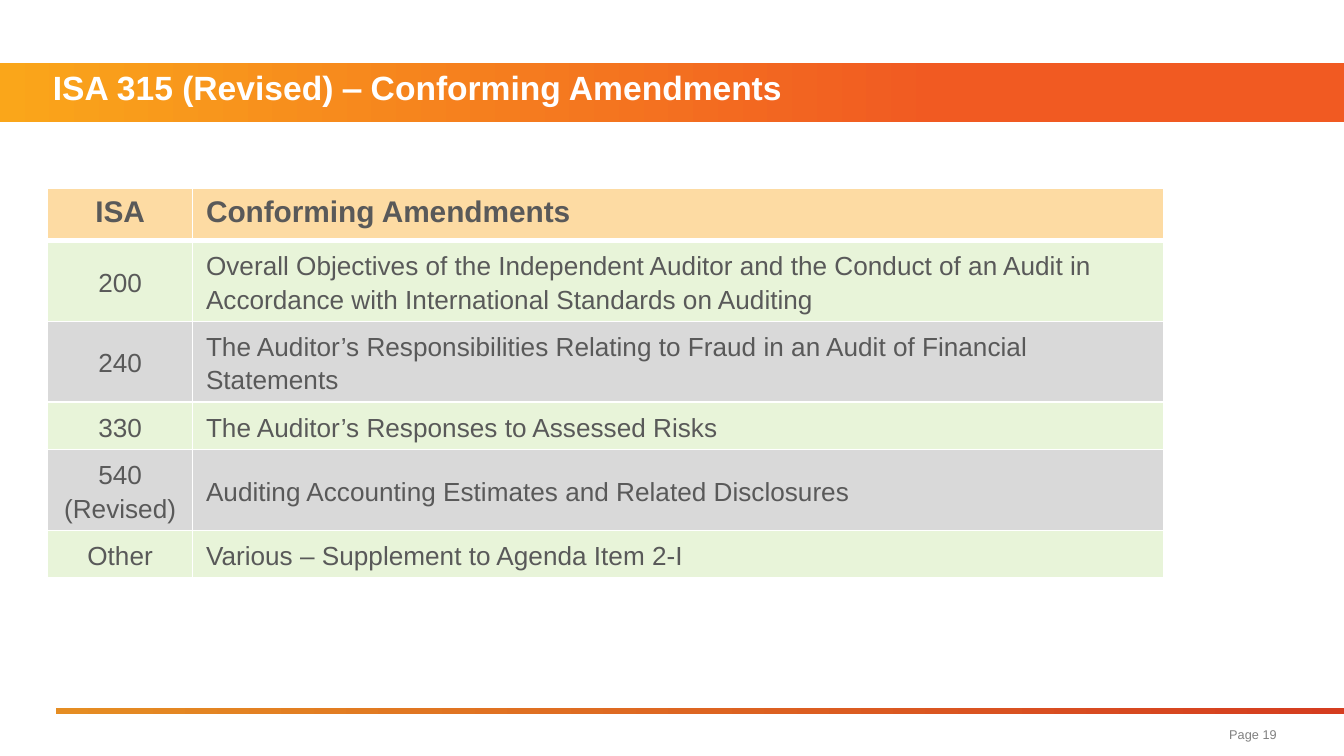
from lxml import etree
from pptx import Presentation
from pptx.dml.color import RGBColor
from pptx.enum.shapes import MSO_SHAPE
from pptx.enum.text import MSO_ANCHOR, PP_ALIGN
from pptx.oxml.ns import qn
from pptx.util import Cm, Pt

RECTANGLE = MSO_SHAPE.RECTANGLE
TOP, MIDDLE = MSO_ANCHOR.TOP, MSO_ANCHOR.MIDDLE
LEFT, CENTER, RIGHT = PP_ALIGN.LEFT, PP_ALIGN.CENTER, PP_ALIGN.RIGHT

WHITE = RGBColor(0xFF, 0xFF, 0xFF)
AMBER = RGBColor(0xFA, 0xA6, 0x1A)
ORANGE = RGBColor(0xF1, 0x5A, 0x22)
OCHRE = RGBColor(0xE5, 0x8D, 0x23)
RED = RGBColor(0xD5, 0x3D, 0x20)
PEACH = RGBColor(0xFD, 0xDB, 0xA3)
PALE_GREEN = RGBColor(0xE8, 0xF4, 0xD9)
LIGHT_GRAY = RGBColor(0xD9, 0xD9, 0xD9)
MID_GRAY = RGBColor(0x80, 0x80, 0x80)
DARK_GRAY = RGBColor(0x59, 0x59, 0x59)

FONT = "Arial"
AMENDMENTS = [
    ("ISA", "Conforming Amendments"),
    ("200", "Overall Objectives of the Independent Auditor and the Conduct of "
            "an Audit in Accordance with International Standards on Auditing"),
    ("240", "The Auditor’s Responsibilities Relating to Fraud in an Audit of "
            "Financial Statements"),
    ("330", "The Auditor’s Responses to Assessed Risks"),
    ("540 (Revised)", "Auditing Accounting Estimates and Related Disclosures"),
    ("Other", "Various – Supplement to Agenda Item 2-I"),
]
HEADER_HEIGHT, SINGLE_HEIGHT, DOUBLE_HEIGHT = 0.99, 0.9, 1.52
ROW_HEIGHTS = [HEADER_HEIGHT, DOUBLE_HEIGHT, DOUBLE_HEIGHT,
               SINGLE_HEIGHT, DOUBLE_HEIGHT, SINGLE_HEIGHT]
NUMBER_WIDTH = 2.74


def style_text(para, size, color, bold=False, align=LEFT):
    """Align a paragraph and format its runs."""
    para.alignment = align
    for span in para.runs:
        span.font.name = FONT
        span.font.size = Pt(size)
        span.font.bold = bold
        span.font.color.rgb = color


def add_gradient_bar(page, box, start, end, end_position=1):
    """Draw a bar that fades from left to right."""
    bar = page.shapes.add_shape(RECTANGLE, *map(Cm, box))
    bar.shadow.inherit = False
    bar.line.fill.background()
    bar.fill.gradient()
    bar.fill.gradient_angle = 0
    first, last = bar.fill.gradient_stops
    first.color.rgb = start
    last.color.rgb = end
    last.position = end_position


def add_label(page, box, text, size, color, bold=False, align=LEFT):
    """Place one line of text without insets."""
    label = page.shapes.add_textbox(*map(Cm, box))
    frame = label.text_frame
    frame.word_wrap = True
    frame.vertical_anchor = MIDDLE
    frame.margin_left = frame.margin_right = 0
    frame.margin_top = frame.margin_bottom = 0
    frame.text = text
    style_text(frame.paragraphs[0], size, color, bold, align)


def add_header(page, box):
    """Draw the title band with its title."""
    left, top, width, height = box
    add_gradient_bar(page, box, AMBER, ORANGE, 0.7)
    add_label(page, (left + 1, top - 0.1, width - 2.29, height),
              "ISA 315 (Revised) ‒ Conforming Amendments", 18, WHITE, True)


def add_footer(page, box):
    """Draw the footer rule with the page number below it."""
    left, top, width, height = box
    add_gradient_bar(page, (left, top, width, 0.1), OCHRE, RED)
    add_label(page, (left + width - 5.61, top + 0.18, 4.34, height - 0.18),
              "Page 19", 6.8, MID_GRAY, align=RIGHT)


def set_borders(cell, widths):
    """Give a cell white borders, with widths in points by side."""
    properties = cell._tc.get_or_add_tcPr()
    for index, side in enumerate(("L", "R", "T", "B")):
        line = etree.Element(qn(f"a:ln{side}"), w=str(Pt(widths.get(side, 1))))
        fill = etree.SubElement(line, qn("a:solidFill"))
        etree.SubElement(fill, qn("a:srgbClr"), val=str(WHITE))
        properties.insert(index, line)


def add_amendments_table(page, box):
    """Build the table of amended standards."""
    left, top, width = box
    frame = page.shapes.add_table(len(AMENDMENTS), 2, Cm(left), Cm(top),
                                  Cm(width), Cm(sum(ROW_HEIGHTS)))
    table = frame.table
    table.columns[0].width = Cm(NUMBER_WIDTH)
    table.columns[1].width = Cm(width - NUMBER_WIDTH)
    for row, (texts, height) in enumerate(zip(AMENDMENTS, ROW_HEIGHTS)):
        table.rows[row].height = Cm(height)
        is_header = row == 0
        body_color = PALE_GREEN if row % 2 else LIGHT_GRAY
        borders = {0: {"B": 3}, 1: {"T": 3}}.get(row, {})
        for column, text in enumerate(texts):
            cell = table.cell(row, column)
            cell.text = text
            cell.vertical_anchor = TOP if is_header else MIDDLE
            cell.fill.solid()
            cell.fill.fore_color.rgb = PEACH if is_header else body_color
            set_borders(cell, borders)
            para = cell.text_frame.paragraphs[0]
            para.line_spacing = Pt(18)
            style_text(para, 16 if is_header else 14, DARK_GRAY, is_header,
                       LEFT if column else CENTER)


def main():
    """Build the deck and save it."""
    deck = Presentation()
    deck.slide_width, deck.slide_height = Cm(25.4), Cm(14.29)
    page = deck.slides.add_slide(deck.slide_layouts[6])
    add_header(page, (0, 1.19, 25.4, 1.12))
    add_footer(page, (1.06, 13.39, 24.34, 0.81))
    add_amendments_table(page, (0.9, 3.56, 21.1))
    deck.save("out.pptx")


if __name__ == "__main__":
    main()
